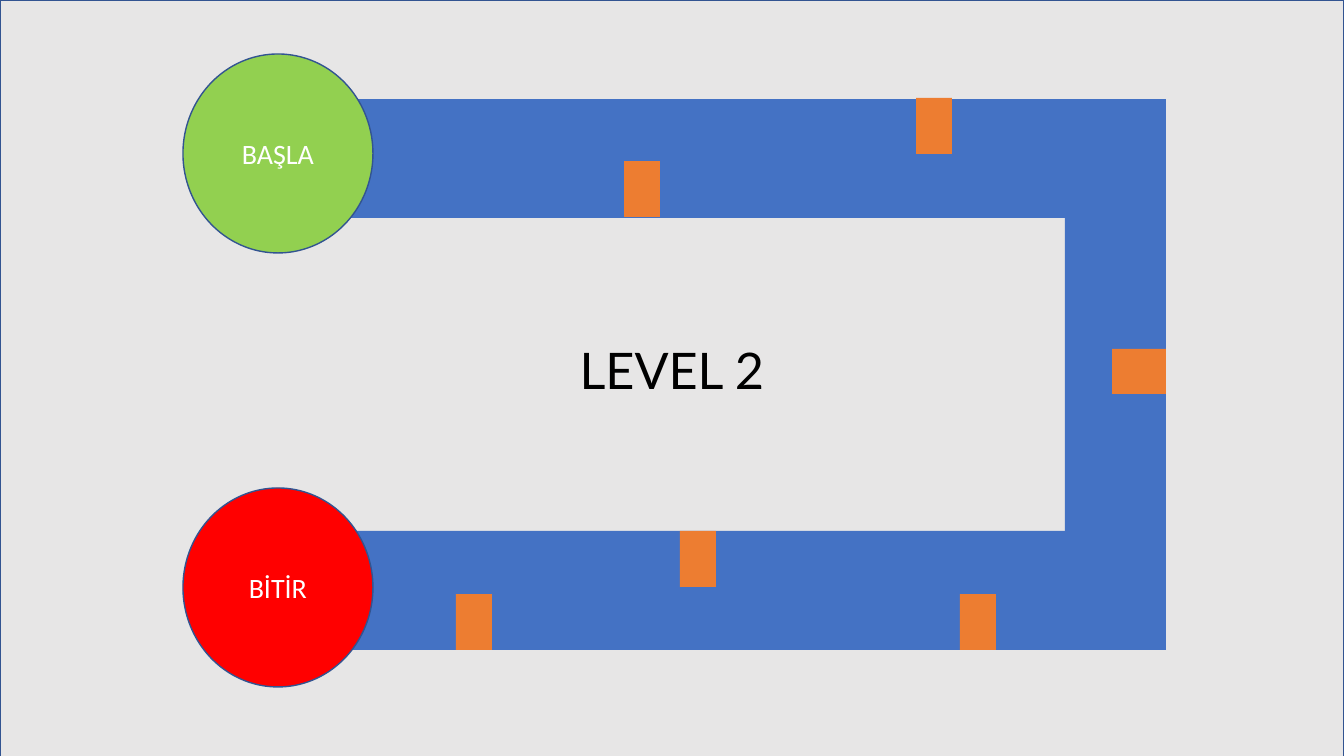
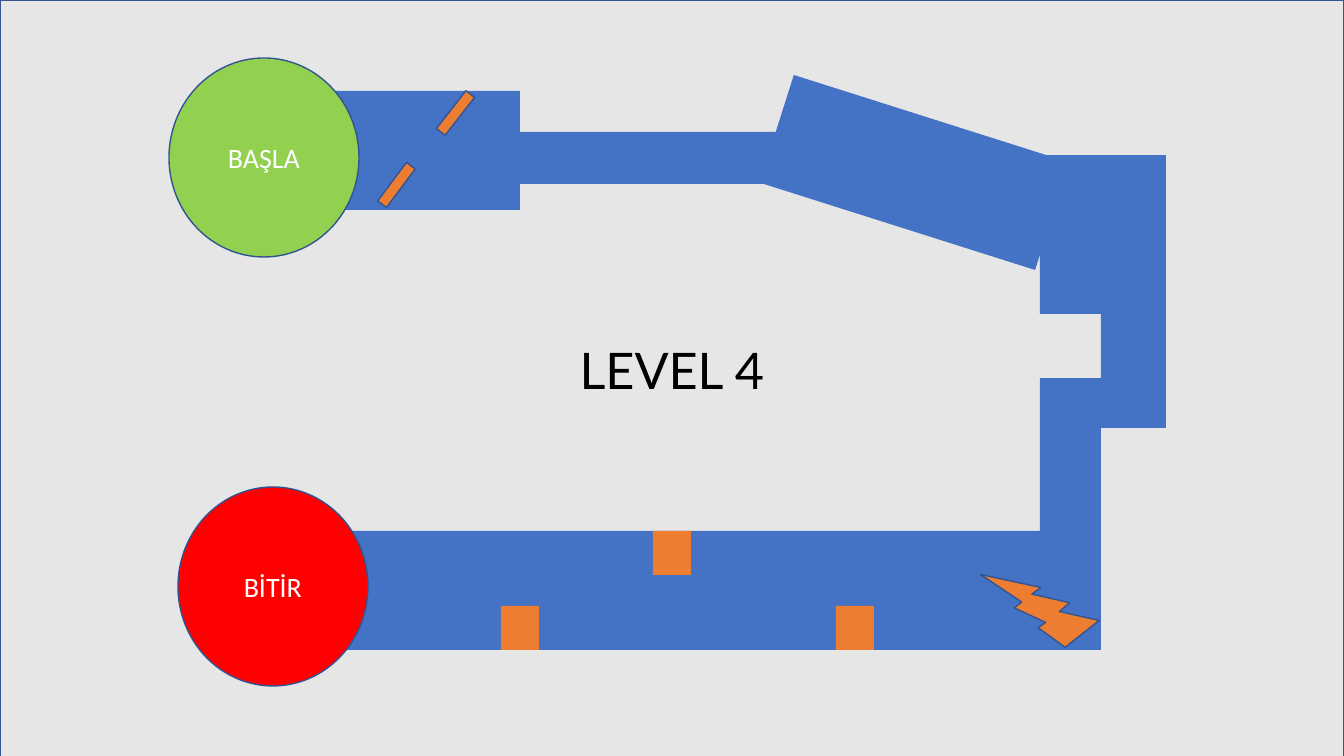
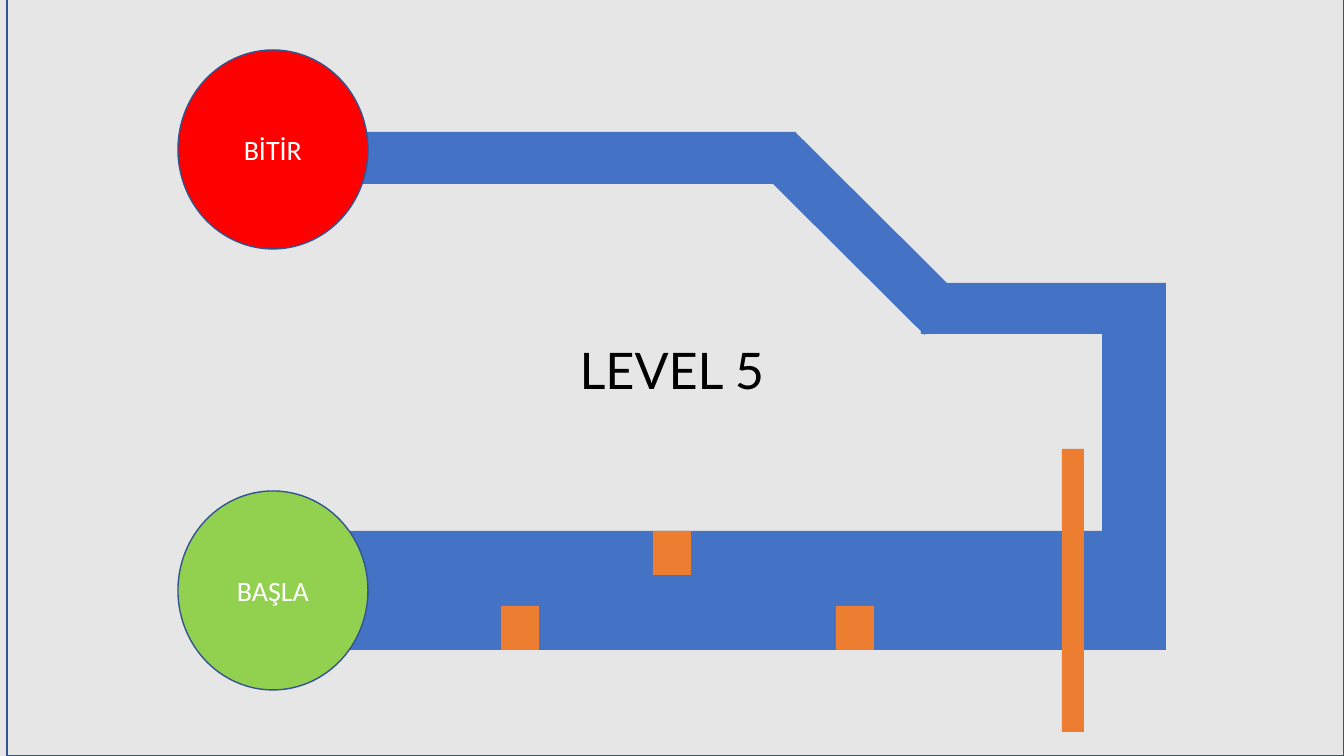
"""Builds three levels of a maze game, each a track with obstacles between two discs."""
from pptx import Presentation
from pptx.dml.color import RGBColor
from pptx.enum.shapes import MSO_SHAPE as Preset
from pptx.enum.text import MSO_ANCHOR as Anchor, PP_ALIGN as Align
from pptx.util import Emu, Pt

GREY = RGBColor(0xE7, 0xE6, 0xE6)
BLUE = RGBColor(0x44, 0x72, 0xC4)
OUTLINE = RGBColor(0x32, 0x54, 0x91)
ORANGE = RGBColor(0xED, 0x7D, 0x31)
GREEN = RGBColor(0x92, 0xD0, 0x50)
RED = RGBColor(0xFF, 0x00, 0x00)
WHITE = RGBColor(0xFF, 0xFF, 0xFF)
BLACK = RGBColor(0x00, 0x00, 0x00)

WIDTH, HEIGHT = 1344, 756
FULL_FRAME = (0, 0, WIDTH, 765)
LOWER_LANE = (336, 531, 830, 119)
UPPER_LINK = (520, 132, 276, 52)
BLOCK_SPOTS = ((501, 606), (653, 531), (836, 606))
BLOCK_SIZE = (38, 44)


def px(length):
    return Emu(round(length * 914400 / 100.8))


class Maze:
    LABEL = {"name": "Calibri", "size": Pt(20)}
    TITLE = {"name": "Lato", "size": Pt(36)}

    def __init__(self):
        self.presentation = Presentation()
        self.presentation.slide_width = px(WIDTH)
        self.presentation.slide_height = px(HEIGHT)
        self.slide = None

    def level(self, number, frame=FULL_FRAME):
        self.slide = self.presentation.slides.add_slide(self.presentation.slide_layouts[6])
        background = self.slide.background.fill
        background.solid()
        background.fore_color.rgb = GREY
        self.shape(frame, GREY, outlined=True)
        self.title(f"LEVEL {number}")

    def shape(self, box, color, preset=Preset.RECTANGLE, rotation=0, outlined=False):
        shape = self.slide.shapes.add_shape(preset, *map(px, box))
        shape.shadow.inherit = False
        shape.rotation = rotation
        shape.fill.solid()
        shape.fill.fore_color.rgb = color
        if outlined:
            shape.line.color.rgb = OUTLINE
            shape.line.width = Pt(1)
        else:
            shape.line.fill.background()
        return shape

    def caption(self, shape, text, color, style):
        paragraph = shape.text_frame.paragraphs[0]
        paragraph.alignment = Align.CENTER
        run = paragraph.add_run()
        run.text = text
        run.font.color.rgb = color
        for name, value in style.items():
            setattr(run.font, name, value)

    def title(self, text):
        box = self.slide.shapes.add_textbox(*map(px, (439, 334, 466, 72)))
        box.text_frame.word_wrap = True
        self.caption(box, text, BLACK, self.TITLE)

    def track(self, *boxes):
        for box in boxes:
            self.shape(box, BLUE)

    def obstacles(self, spots, size):
        for spot in spots:
            self.shape((*spot, *size), ORANGE)

    def disc(self, left, top, text, color):
        disc = self.shape((left, top, 190, 199), color, Preset.OVAL, outlined=True)
        disc.text_frame.vertical_anchor = Anchor.MIDDLE
        self.caption(disc, text, WHITE, self.LABEL)

    def start(self, left, top):
        self.disc(left, top, "BAŞLA", GREEN)

    def finish(self, left, top):
        self.disc(left, top, "BİTİR", RED)


def level_two(maze):
    maze.level(2)
    maze.track(LOWER_LANE, (1065, 115, 101, 491), (304, 99, 862, 119))
    maze.finish(183, 488)
    maze.start(183, 54)
    maze.obstacles(((456, 594), (680, 531), (960, 594), (916, 98), (624, 161)), (36, 56))
    maze.obstacles(((1112, 349),), (54, 45))


def level_four(maze):
    maze.level(4)
    maze.track((336, 531, 765, 119), (1040, 155, 126, 159), (304, 91, 216, 119),
               UPPER_LINK, (1101, 309, 65, 119), (1040, 378, 61, 174))
    maze.shape((770, 116, 289, 113), BLUE, rotation=17.6)
    maze.finish(178, 487)
    maze.start(169, 58)
    maze.obstacles(BLOCK_SPOTS, BLOCK_SIZE)
    for left, top, rotation in ((391, 161, 36.8), (450, 89, 37.9)):
        maze.shape((left, top, 11, 48), ORANGE, rotation=rotation, outlined=True)
    maze.shape((991, 559, 102, 93), ORANGE, Preset.LIGHTNING_BOLT, 164.4, outlined=True)


def level_five(maze):
    maze.level(5, frame=(7, -4, 1337, 760))
    maze.track(LOWER_LANE, (356, 132, 164, 52), (1102, 334, 64, 272),
               UPPER_LINK, (921, 283, 245, 51))
    ramp = maze.shape((795, 132, 130, 203), BLUE, Preset.PARALLELOGRAM, 114.8)
    ramp.adjustments[0] = 0.57
    maze.finish(178, 50)
    maze.start(178, 491)
    maze.obstacles(BLOCK_SPOTS, BLOCK_SIZE)
    maze.obstacles(((1062, 449),), (22, 283))


def main():
    maze = Maze()
    for build in (level_two, level_four, level_five):
        build(maze)
    maze.presentation.save("out.pptx")


if __name__ == "__main__":
    main()
